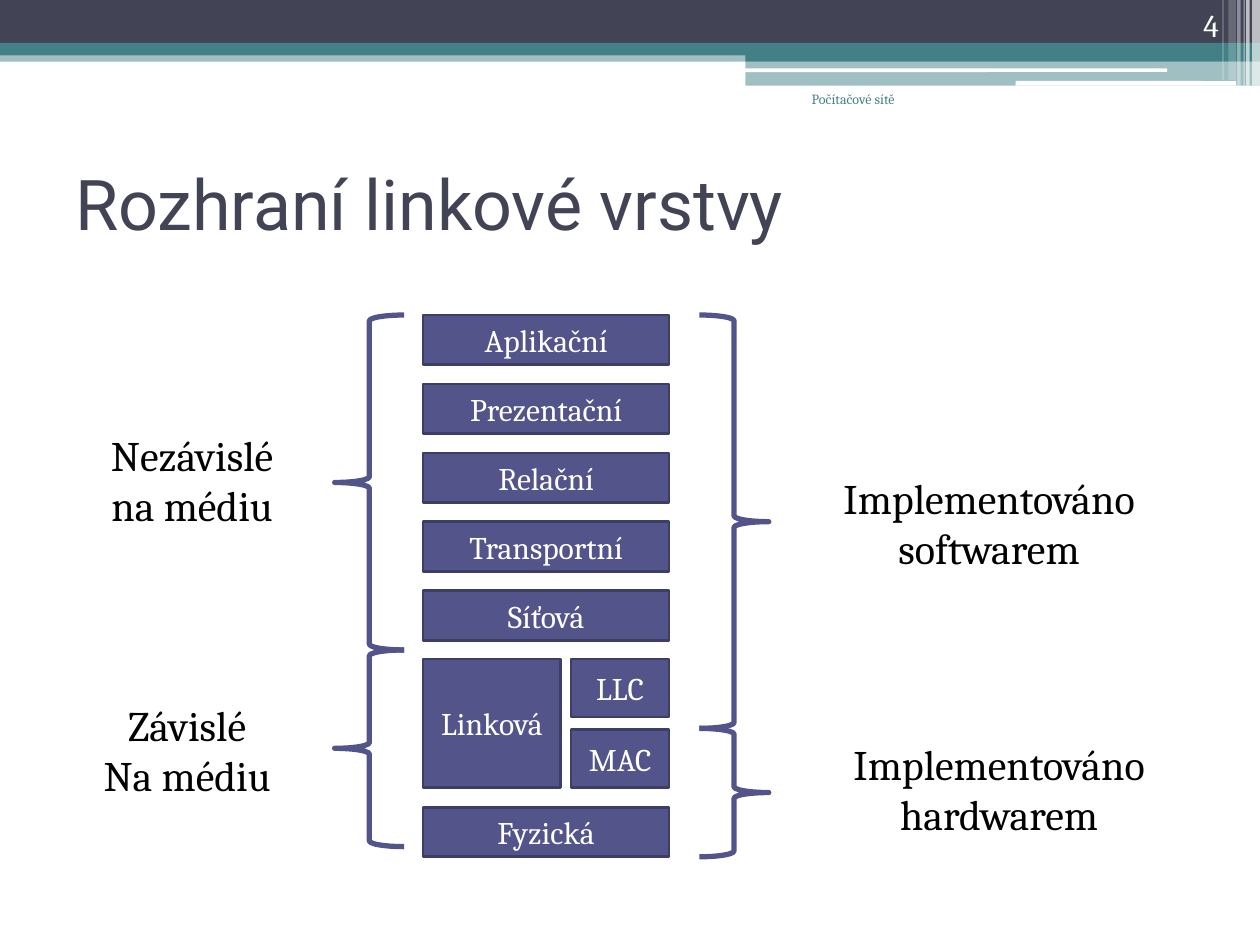
from dataclasses import dataclass

from lxml import etree
from pptx import Presentation
from pptx.dml.color import RGBColor
from pptx.enum.shapes import MSO_SHAPE
from pptx.enum.text import MSO_ANCHOR, PP_ALIGN
from pptx.oxml.ns import qn
from pptx.util import Pt

RECT = MSO_SHAPE.RECTANGLE
ROUNDED = MSO_SHAPE.ROUNDED_RECTANGLE
BRACE = MSO_SHAPE.RIGHT_BRACE
TOP, MIDDLE, BOTTOM = MSO_ANCHOR.TOP, MSO_ANCHOR.MIDDLE, MSO_ANCHOR.BOTTOM
LEFT, CENTER, RIGHT = PP_ALIGN.LEFT, PP_ALIGN.CENTER, PP_ALIGN.RIGHT


@dataclass(frozen=True)
class Theme:
    navy: str = "424456"
    teal: str = "438086"
    white: str = "FFFFFF"
    black: str = "000000"
    layer: str = "53548A"
    layer_edge: str = "3D3E66"
    heading_font: str = "Roboto"
    body_font: str = "Cambria"
    title_size: float = 40
    caption_size: float = 24
    layer_size: float = 18
    footer_size: float = 8
    edge_width: float = 1.5
    brace_width: float = 3


THEME = Theme()


@dataclass(frozen=True)
class Box:
    left: float
    top: float
    width: float
    height: float

    def lengths(self):
        return [Pt(v) for v in (self.left, self.top, self.width, self.height)]


@dataclass(frozen=True)
class Band:
    box: Box
    color: str
    opacity: int = 100
    preset: int = RECT


@dataclass(frozen=True)
class Label:
    box: Box
    lines: tuple
    size: float = THEME.caption_size
    color: str = THEME.black
    font: str = THEME.body_font
    align: int = CENTER
    anchor: int = TOP


@dataclass(frozen=True)
class Brace:
    box: Box
    rotation: float = 0


BANDS = (
    Band(Box(0, 28.8, 720, 6.5), THEME.teal, 50),
    Band(Box(0, 0, 720, 24.5), THEME.navy),
    Band(Box(0, 24.5, 720, 7.2), THEME.teal),
    Band(Box(426, 28.1, 294, 7), THEME.teal),
    Band(Box(426, 34.6, 294, 14.4), THEME.teal, 50),
    Band(Box(425.7, 39.1, 241.2, 2.1), THEME.white, preset=ROUNDED),
    Band(Box(580.3, 46.3, 126, 2.7), THEME.white, preset=ROUNDED),
)
STRIPES = (
    (715.5, 4.5, 49, 65),
    (712.1, 2, 49, 65),
    (710.6, 0.7, 49, 60),
    (707, 2, 49, 40),
    (702, 4.3, 46, 20),
    (698.5, 0.7, 46, 30),
)

STACK_LEFT, STACK_TOP, STACK_WIDTH = 241.8, 180, 140.6
LAYER_HEIGHT, LAYER_PITCH = 28.3, 39.4
UPPER_LAYERS = ("Aplikační", "Prezentační", "Relační", "Transportní", "Síťová")
LINK_TOP, LINK_HEIGHT, LINK_WIDTH = 376.7, 73.3, 78.7
SUBLAYER_LEFT, SUBLAYER_WIDTH = 326.3, 56.1
SUBLAYER_HEIGHT, SUBLAYER_PITCH = 33, 40.3
PHYSICAL_TOP = 461.3

BRACES = (
    Brace(Box(399.6, 180, 39.7, 236.2)),
    Brace(Box(399.6, 416.2, 39.7, 73.4)),
    Brace(Box(191.2, 180, 39.7, 191.4), 180),
    Brace(Box(191.2, 371.4, 39.7, 112.4), 180),
)

LABELS = (
    Label(Box(36, 73.4, 648, 84.2), ("Rozhraní linkové vrstvy",), THEME.title_size,
          THEME.navy, THEME.heading_font, LEFT, MIDDLE),
    Label(Box(414, 48.2, 104.4, 36), ("Počítačové sítě",), THEME.footer_size,
          THEME.teal, align=RIGHT),
    Label(Box(643.7, 0, 59.8, 28.8), ("4",), THEME.layer_size, THEME.white,
          align=RIGHT, anchor=BOTTOM),
    Label(Box(450, 266.4, 230.4, 65.5), ("Implementováno", "softwarem")),
    Label(Box(450, 418.3, 241.9, 65.5), ("Implementováno", "hardwarem")),
    Label(Box(28.1, 241.9, 163.4, 65.5), ("Nezávislé", "na médiu")),
    Label(Box(28.1, 396, 157.7, 65.5), ("Závislé", "Na médiu")),
)


def rgb(color: str) -> RGBColor:
    return RGBColor.from_string(color)


def apply(target, values: dict) -> None:
    for attribute, value in values.items():
        setattr(target, attribute, value)


def write_label(frame, label: Label) -> None:
    apply(frame, {"word_wrap": True, "vertical_anchor": label.anchor})
    for index, line in enumerate(label.lines):
        paragraph = frame.add_paragraph() if index else frame.paragraphs[0]
        paragraph.alignment = label.align
        run = paragraph.add_run()
        run.text = line
        apply(run.font, {"size": Pt(label.size), "name": label.font})
        run.font.color.rgb = rgb(label.color)


def draw_label(slide, label: Label) -> None:
    write_label(slide.shapes.add_textbox(*label.box.lengths()).text_frame, label)


def draw_band(slide, band: Band) -> None:
    bar = slide.shapes.add_shape(band.preset, *band.box.lengths())
    bar.shadow.inherit = False
    bar.fill.solid()
    bar.fill.fore_color.rgb = rgb(band.color)
    bar.line.fill.background()
    if band.opacity < 100:
        tint = bar.fill._xPr.find(qn("a:solidFill"))[0]
        etree.SubElement(tint, qn("a:alpha"), val=str(band.opacity * 1000))


def draw_layer(slide, name: str, box: Box) -> None:
    block = slide.shapes.add_shape(RECT, *box.lengths())
    block.shadow.inherit = False
    block.fill.solid()
    block.fill.fore_color.rgb = rgb(THEME.layer)
    block.line.color.rgb = rgb(THEME.layer_edge)
    block.line.width = Pt(THEME.edge_width)
    write_label(block.text_frame, Label(box, (name,), THEME.layer_size, THEME.white,
                                        anchor=MIDDLE))


def draw_brace(slide, brace: Brace) -> None:
    bracket = slide.shapes.add_shape(BRACE, *brace.box.lengths())
    bracket.shadow.inherit = False
    bracket.rotation = brace.rotation
    bracket.fill.background()
    bracket.line.color.rgb = rgb(THEME.layer)
    bracket.line.width = Pt(THEME.brace_width)


def draw_stack(slide) -> None:
    for index, name in enumerate(UPPER_LAYERS):
        draw_layer(slide, name, Box(STACK_LEFT, STACK_TOP + index * LAYER_PITCH,
                                    STACK_WIDTH, LAYER_HEIGHT))
    draw_layer(slide, "Linková", Box(STACK_LEFT, LINK_TOP, LINK_WIDTH, LINK_HEIGHT))
    for index, name in enumerate(("LLC", "MAC")):
        draw_layer(slide, name, Box(SUBLAYER_LEFT, LINK_TOP + index * SUBLAYER_PITCH,
                                    SUBLAYER_WIDTH, SUBLAYER_HEIGHT))
    draw_layer(slide, "Fyzická", Box(STACK_LEFT, PHYSICAL_TOP, STACK_WIDTH, LAYER_HEIGHT))


def main() -> None:
    deck = Presentation()
    apply(deck, {"slide_width": Pt(720), "slide_height": Pt(540)})
    slide = deck.slides.add_slide(deck.slide_layouts[6])
    for band in BANDS:
        draw_band(slide, band)
    for left, width, height, opacity in STRIPES:
        draw_band(slide, Band(Box(left, 0, width, height), THEME.white, opacity))
    draw_stack(slide)
    for brace in BRACES:
        draw_brace(slide, brace)
    for label in LABELS:
        draw_label(slide, label)
    deck.save("out.pptx")


if __name__ == "__main__":
    main()
